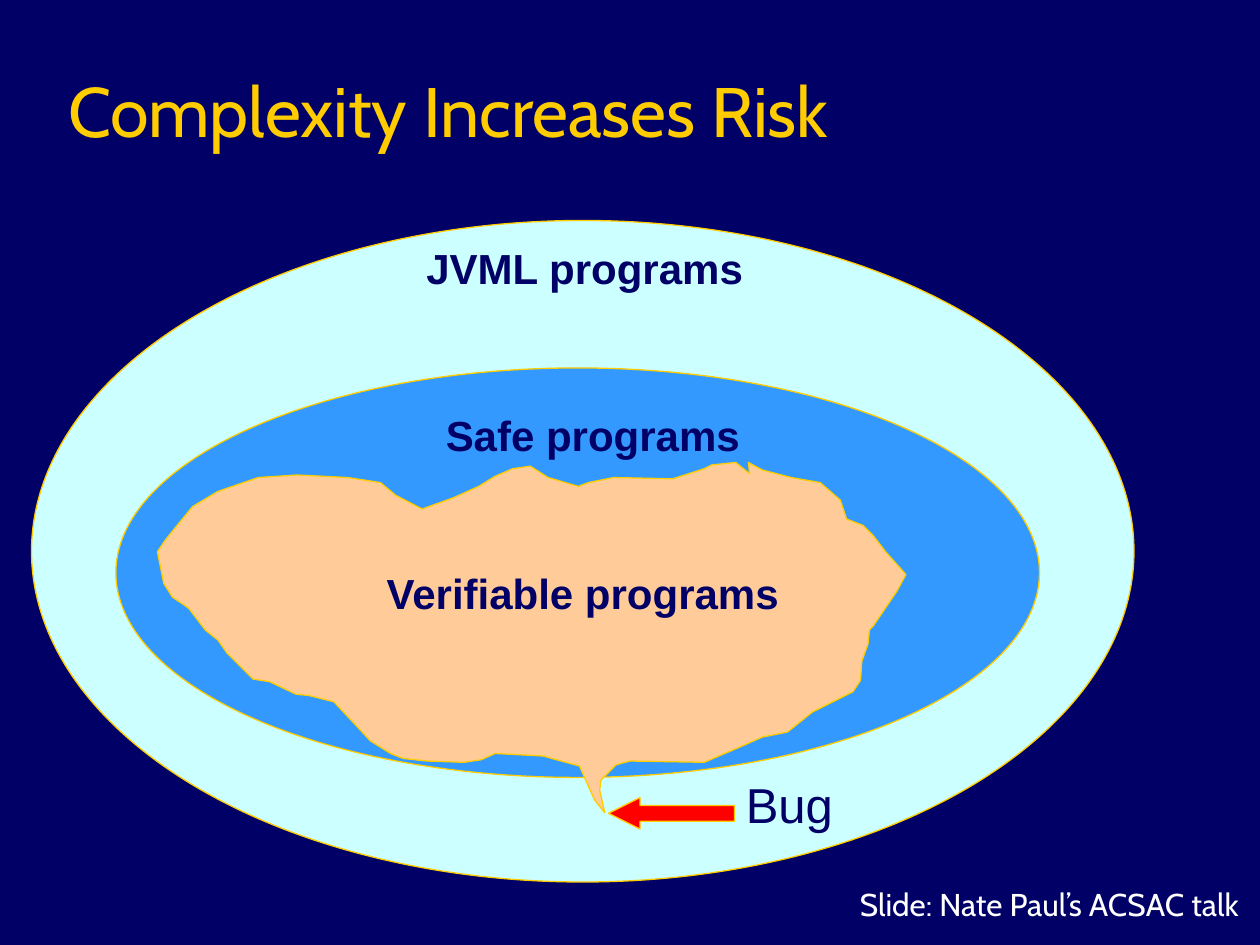
"""Build the slide on nested program sets and the bug that leaves the safe set."""
from pptx import Presentation, util as u
from pptx.dml.color import RGBColor
from pptx.enum import shapes, text

PX = 9144
COLORS = {
    "navy": "000066", "gold": "FFCC00", "pale": "CCFFFF", "blue": "3399FF",
    "peach": "FFCC99", "red": "FF0000", "white": "FFFFFF",
}


def paint(shape, color):
    shape.shadow.inherit = False
    shape.fill.solid()
    shape.fill.fore_color.rgb = RGBColor.from_string(COLORS[color])
    shape.line.color.rgb = RGBColor.from_string(COLORS["gold"])
    shape.line.width = u.Pt(0.75)


def write(shape, words, size, font, color, align, bold=False):
    paragraph = shape.text_frame.paragraphs[0]
    paragraph.alignment = align
    run = paragraph.add_run()
    run.text = words
    run.font.size = u.Pt(size)
    run.font.name = font
    run.font.bold = bold
    run.font.color.rgb = RGBColor.from_string(COLORS[color])
    return paragraph


presentation = Presentation()
presentation.slide_width = 1000 * PX
presentation.slide_height = 750 * PX
slide = presentation.slides.add_slide(presentation.slide_layouts[5])
slide.background.fill.solid()
slide.background.fill.fore_color.rgb = RGBColor.from_string(COLORS["navy"])

title = slide.shapes.title
title.left, title.top, title.width, title.height = [n * PX for n in (44, 25, 850, 100)]
title.text_frame.auto_size = text.MSO_AUTO_SIZE.NONE
title.text_frame.vertical_anchor = text.MSO_ANCHOR.BOTTOM
write(title, "Complexity Increases Risk", 40, "Cabin", "gold", text.PP_ALIGN.LEFT)

for color, box in (("pale", (25, 175, 875, 525)), ("blue", (92, 292, 733, 325))):
    ellipse = slide.shapes.add_shape(shapes.MSO_SHAPE.OVAL, *[n * PX for n in box])
    paint(ellipse, color)

verifiable_outline = [
    (595, 376), (584, 367), (565, 369), (559, 372), (534, 380), (487, 379),
    (467, 383), (459, 386), (435, 379), (421, 370), (407, 372), (393, 378),
    (380, 386), (360, 395), (335, 404), (314, 393), (302, 383), (276, 379),
    (236, 377), (205, 379), (173, 390), (153, 402), (139, 419), (131, 429),
    (125, 438), (130, 463), (137, 474), (146, 480), (150, 483), (163, 500),
    (173, 508), (180, 518), (190, 528), (201, 539), (214, 541), (235, 551),
    (245, 552), (265, 557), (281, 574), (294, 588), (310, 598), (320, 602),
    (339, 604), (368, 605), (382, 603), (393, 598), (431, 600), (460, 608),
    (467, 624), (472, 635), (480, 645), (476, 627), (477, 619), (483, 613),
    (489, 607), (500, 604), (559, 605), (587, 593), (605, 585), (625, 581),
    (645, 565), (657, 559), (677, 549), (683, 540), (684, 525), (689, 511),
    (690, 500), (693, 497), (712, 469), (719, 456), (703, 438), (693, 425),
    (685, 417), (672, 412), (667, 397), (651, 383), (628, 379), (605, 373),
    (594, 367),
]
builder = slide.shapes.build_freeform(*verifiable_outline[0], scale=PX)
builder.add_line_segments(verifiable_outline[1:], close=True)
paint(builder.convert_to_shape(), "peach")

arrow = slide.shapes.add_shape(
    shapes.MSO_SHAPE.LEFT_ARROW, *[n * PX for n in (483, 633, 100, 25)])
arrow.adjustments[0] = 0.5
arrow.adjustments[1] = 1
paint(arrow, "red")

center, right = text.PP_ALIGN.CENTER, text.PP_ALIGN.RIGHT
for words, box, size, font, color, align, bold, before, wrap in (
    ("JVML programs", (308, 192, 312, 46), 24, "Arial", "navy", center, True, 15, True),
    ("Safe programs", (283, 325, 375, 46), 24, "Arial", "navy", center, True, 15, True),
    ("Verifiable programs", (275, 450, 375, 46), 24, "Arial", "navy", center, True, 15, True),
    ("Bug", (582, 615, 89, 52), 28, "Arial", "navy", center, False, 7, False),
    ("Slide: Nate Paul’s ACSAC talk", (500, 701, 493, 37), 18, "Cabin", "white", right,
     False, 4.5, True),
):
    label = slide.shapes.add_textbox(*[n * PX for n in box])
    label.text_frame.word_wrap = wrap
    label.text_frame.auto_size = text.MSO_AUTO_SIZE.SHAPE_TO_FIT_TEXT
    paragraph = write(label, words, size, font, color, align, bold)
    paragraph.line_spacing = 0.9
    paragraph.space_before = u.Pt(before)

presentation.save("out.pptx")
